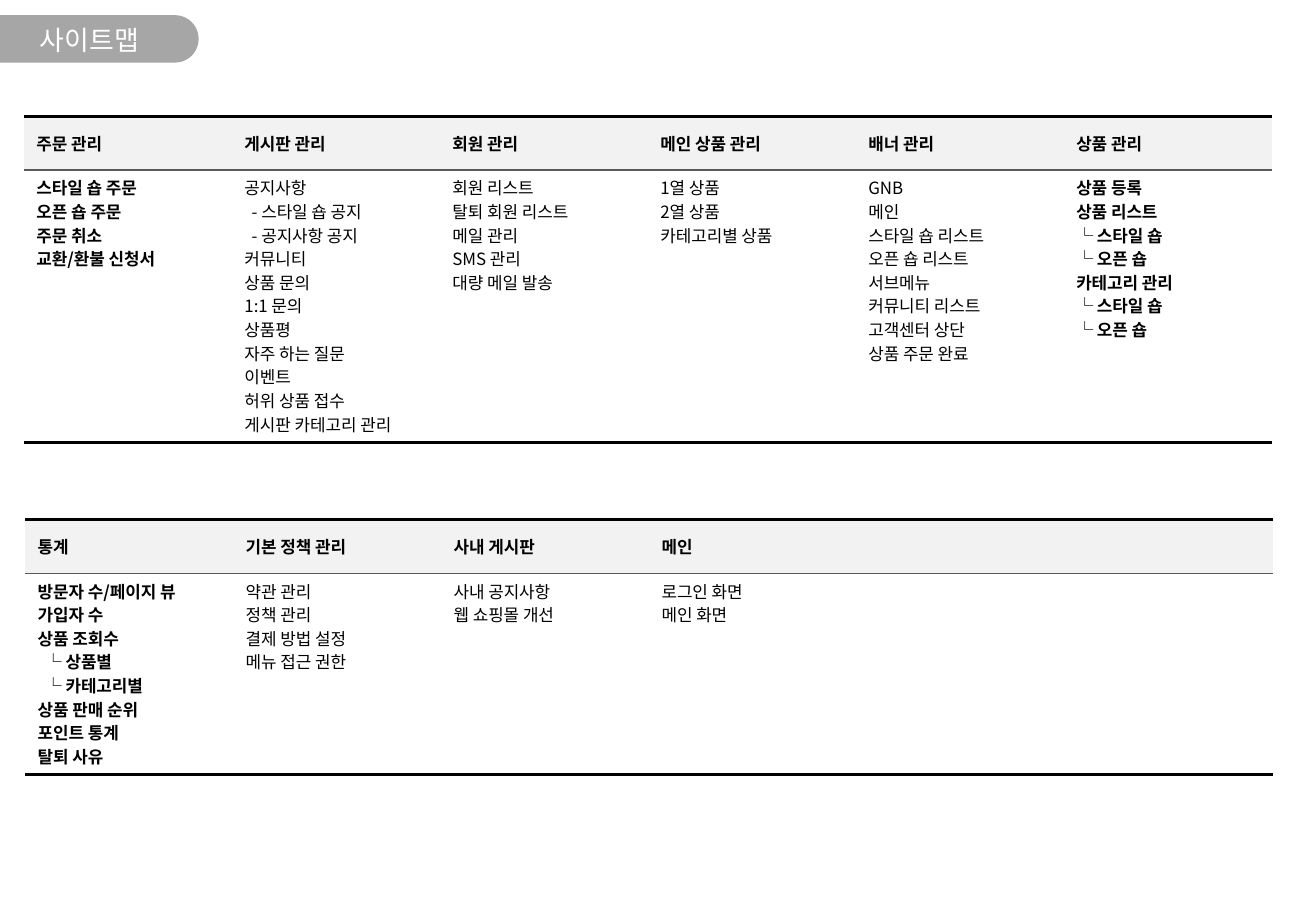
from dataclasses import dataclass
from typing import Optional

from lxml import etree
from pptx import Presentation, util as u
from pptx.dml.color import RGBColor
from pptx.enum import shapes, text
from pptx.oxml import ns

FONT = "Noto Sans CJK KR"
SLIDE_WIDTH, SLIDE_HEIGHT = u.Inches(10.83), u.Inches(7.5)
COLUMN_COUNT = 6
COLUMN_WIDTH = u.Inches(10.27 / COLUMN_COUNT)
HEADER_HEIGHT = u.Inches(0.44)
LINE_HEIGHT = u.Pt(14)
CELL_PADDING = u.Inches(0.1)
ITEM_INDENT = u.Inches(0.06)
BLACK, DARK_GRAY, WHITE = "000000", "595959", "FFFFFF"
HEADER_GRAY, TAB_GRAY = "F2F2F2", "A6A6A6"


@dataclass(frozen=True)
class Menu:
    heading: str = ""
    items: tuple[str, ...] = ()
    bold: bool = False
    indented: tuple[str, ...] = ()


@dataclass(frozen=True)
class Section:
    left: float
    top: float
    menus: tuple[Menu, ...]


@dataclass(frozen=True)
class Border:
    color: str
    width: float


THICK, THIN = Border(BLACK, 2), Border(DARK_GRAY, 1)

SECTIONS = (
    Section(0.2, 0.96, (
        Menu("주문 관리", ("스타일 숍 주문", "오픈 숍 주문", "주문 취소", "교환/환불 신청서"), bold=True),
        Menu("게시판 관리", (
            "공지사항", "- 스타일 숍 공지", "- 공지사항 공지", "커뮤니티", "상품 문의", "1:1 문의",
            "상품평", "자주 하는 질문", "이벤트", "허위 상품 접수", "게시판 카테고리 관리",
        ), indented=("- 스타일 숍 공지", "- 공지사항 공지")),
        Menu("회원 관리", ("회원 리스트", "탈퇴 회원 리스트", "메일 관리", "SMS 관리", "대량 메일 발송")),
        Menu("메인 상품 관리", ("1열 상품", "2열 상품", "카테고리별 상품")),
        Menu("배너 관리", (
            "GNB", "메인", "스타일 숍 리스트", "오픈 숍 리스트", "서브메뉴", "커뮤니티 리스트",
            "고객센터 상단", "상품 주문 완료",
        )),
        Menu("상품 관리", (
            "상품 등록", "상품 리스트", "└ 스타일 숍", "└ 오픈 숍", "카테고리 관리",
            "└ 스타일 숍", "└ 오픈 숍",
        ), bold=True),
    )),
    Section(0.21, 4.28, (
        Menu("통계", (
            "방문자 수/페이지 뷰", "가입자 수", "상품 조회수", "└ 상품별", "└ 카테고리별",
            "상품 판매 순위", "포인트 통계", "탈퇴 사유",
        ), bold=True, indented=("└ 상품별", "└ 카테고리별")),
        Menu("기본 정책 관리", ("약관 관리", "정책 관리", "결제 방법 설정", "메뉴 접근 권한")),
        Menu("사내 게시판", ("사내 공지사항", "웹 쇼핑몰 개선")),
        Menu("메인", ("로그인 화면", "메인 화면")),
        Menu(),
        Menu(),
    )),
)


def paint(fill, color: str) -> None:
    fill.solid()
    fill.fore_color.rgb = RGBColor.from_string(color)


def format_runs(paragraph, size: float, color: str, bold: bool = False) -> None:
    for run in paragraph.runs:
        run.font.size = u.Pt(size)
        run.font.bold = bold
        run.font.name = FONT
        run.font.color.rgb = RGBColor.from_string(color)
        east_asian = etree.SubElement(run.font._element, ns.qn("a:ea"))
        east_asian.set("typeface", FONT)


def style_cell(cell, color: str, top: Border, bottom: Border) -> None:
    properties = cell._tc.get_or_add_tcPr()
    edges: dict[str, Optional[Border]] = {"lnL": None, "lnR": None, "lnT": top, "lnB": bottom}
    for edge, border in edges.items():
        line = etree.SubElement(properties, ns.qn(f"a:{edge}"))
        if border is None:
            etree.SubElement(line, ns.qn("a:noFill"))
        else:
            line.set("w", str(u.Pt(border.width)))
            solid = etree.SubElement(line, ns.qn("a:solidFill"))
            etree.SubElement(solid, ns.qn("a:srgbClr")).set("val", border.color)
    paint(cell.fill, color)


def fill_header(cell, menu: Menu) -> None:
    style_cell(cell, HEADER_GRAY, THICK, THIN)
    cell.vertical_anchor = text.MSO_ANCHOR.MIDDLE
    cell.text_frame.text = menu.heading
    format_runs(cell.text_frame.paragraphs[0], 10, BLACK, bold=True)


def fill_body(cell, menu: Menu) -> None:
    style_cell(cell, WHITE, THIN, THICK)
    cell.text_frame.text = "\n".join(menu.items)
    for paragraph in cell.text_frame.paragraphs:
        paragraph.line_spacing = LINE_HEIGHT
        if paragraph.text in menu.indented:
            properties = paragraph._p.get_or_add_pPr()
            properties.set("marL", str(ITEM_INDENT))
            properties.set("indent", "0")
        format_runs(paragraph, 10, BLACK, menu.bold)


def draw_section(slide, section: Section) -> None:
    line_count = max(len(menu.items) for menu in section.menus)
    body_height = line_count * LINE_HEIGHT + CELL_PADDING
    table = slide.shapes.add_table(
        2, COLUMN_COUNT, u.Inches(section.left), u.Inches(section.top),
        COLUMN_COUNT * COLUMN_WIDTH, HEADER_HEIGHT + body_height,
    ).table
    table.first_row = table.horz_banding = False
    table.rows[0].height, table.rows[1].height = HEADER_HEIGHT, body_height
    for index, menu in enumerate(section.menus):
        table.columns[index].width = COLUMN_WIDTH
        fill_header(table.cell(0, index), menu)
        fill_body(table.cell(1, index), menu)


def draw_title(slide, title: str) -> None:
    tab = slide.shapes.add_shape(
        shapes.MSO_SHAPE.ROUND_2_SAME_RECTANGLE,
        u.Inches(0.62), u.Inches(-0.5), u.Inches(0.39), u.Inches(1.64),
    )
    tab.rotation = 270
    tab.adjustments[0], tab.adjustments[1] = 0, 0.5
    tab.shadow.inherit = False
    paint(tab.fill, TAB_GRAY)
    tab.line.fill.background()

    label = slide.shapes.add_textbox(u.Inches(-0.01), u.Inches(0.13), u.Inches(1.49), u.Inches(0.39))
    frame = label.text_frame
    frame.word_wrap = True
    frame.vertical_anchor = text.MSO_ANCHOR.MIDDLE
    frame.text = title
    frame.paragraphs[0].alignment = text.PP_ALIGN.CENTER
    format_runs(frame.paragraphs[0], 16, WHITE)


def main() -> None:
    """Build the site map slide."""
    presentation = Presentation()
    presentation.slide_width, presentation.slide_height = SLIDE_WIDTH, SLIDE_HEIGHT
    slide = presentation.slides.add_slide(presentation.slide_layouts[6])
    draw_title(slide, "사이트맵")
    for section in SECTIONS:
        draw_section(slide, section)
    presentation.save("out.pptx")


if __name__ == "__main__":
    main()
